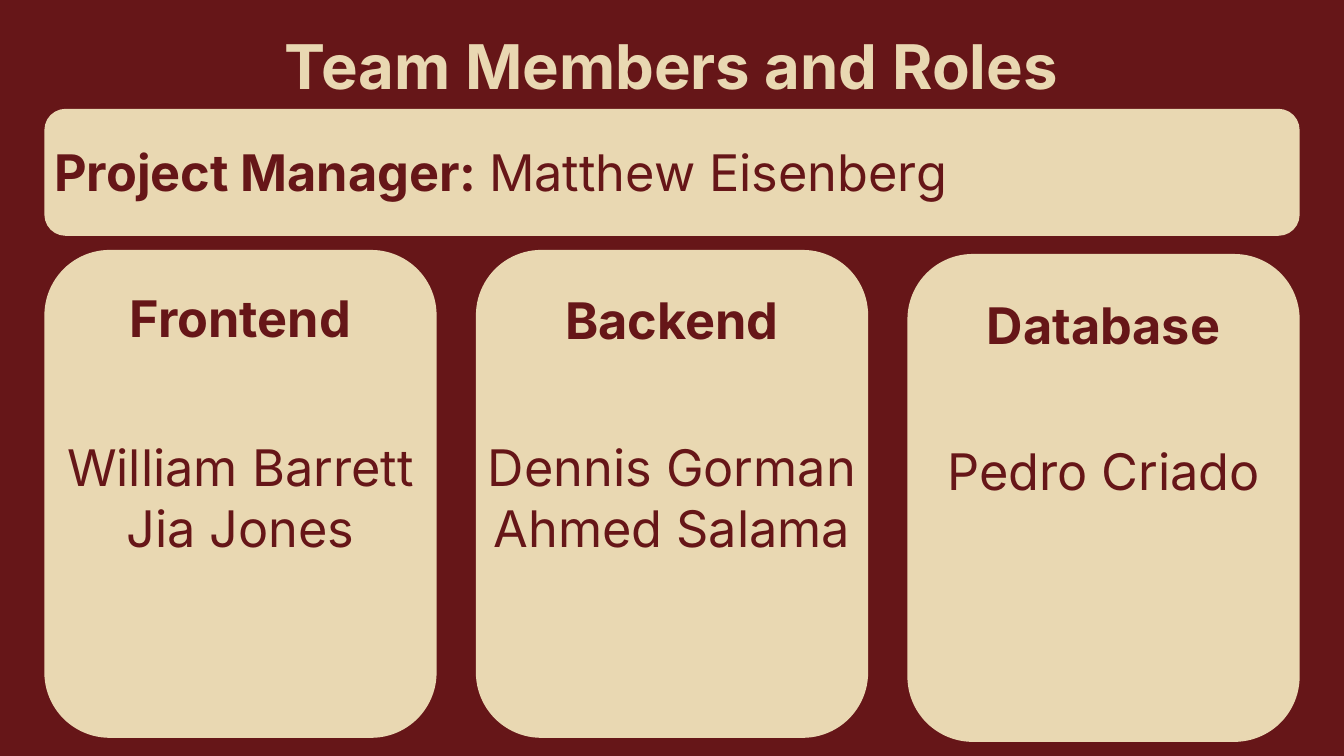
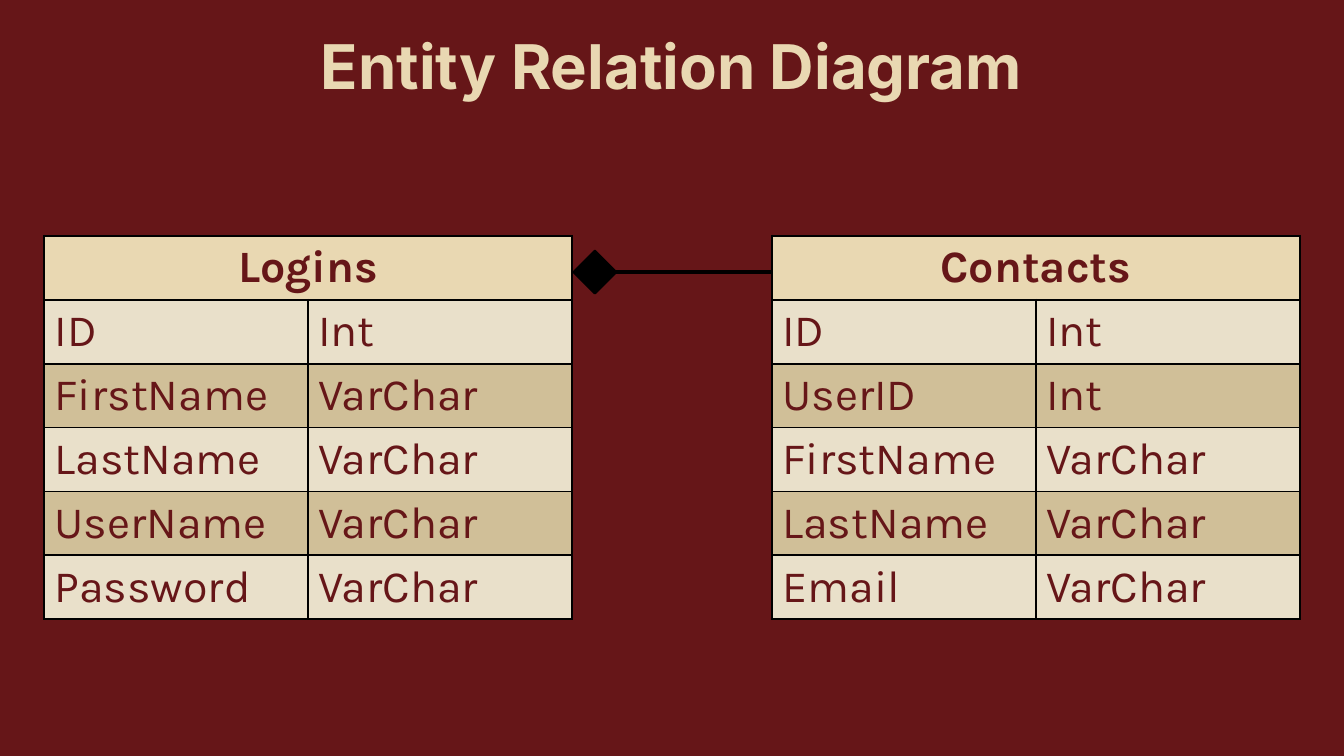
from dataclasses import dataclass

from lxml import etree
from pptx import Presentation
from pptx.dml.color import RGBColor
from pptx.enum.shapes import MSO_CONNECTOR, MSO_SHAPE
from pptx.enum.text import MSO_ANCHOR, PP_ALIGN
from pptx.oxml.ns import qn
from pptx.util import Inches, Pt

ROUNDED = MSO_SHAPE.ROUNDED_RECTANGLE
RECTANGLE = MSO_SHAPE.RECTANGLE
STRAIGHT = MSO_CONNECTOR.STRAIGHT
LEFT, CENTER = PP_ALIGN.LEFT, PP_ALIGN.CENTER
MIDDLE = MSO_ANCHOR.MIDDLE


@dataclass(frozen=True)
class Theme:
    maroon: str = "661618"
    sand: str = "E9D8B2"
    light_row: str = "E9E0CA"
    dark_row: str = "D0BF98"
    black: str = "000000"
    font: str = "Inter"
    table_font: str = "Karla"
    title_size: int = 44
    body_size: int = 36
    table_size: int = 32
    border: float = 1.5
    link: float = 2.5


@dataclass(frozen=True)
class Box:
    left: float
    top: float
    width: float
    height: float

    def inches(self):
        return [Inches(value) for value in (self.left, self.top, self.width, self.height)]

    def band(self, offset, height):
        return Box(self.left, self.top + offset, self.width, height)

    def columns(self, count, gap):
        width = (self.width - gap * (count - 1)) / count
        return [Box(self.left + index * (width + gap), self.top, width, self.height)
                for index in range(count)]


THEME = Theme()
SLIDE_WIDTH, SLIDE_HEIGHT = 13.33, 7.5
MARGIN = 0.44
CONTENT_WIDTH = SLIDE_WIDTH - 2 * MARGIN
LINE_HEIGHT = 0.71
TITLE = Box(0, 0.23, SLIDE_WIDTH, 0.84)
MANAGER = Box(MARGIN, 1.08, CONTENT_WIDTH, 1.26)
CARDS = Box(MARGIN, 2.48, CONTENT_WIDTH, 4.84)
CARD_GAP = 0.39
MEMBERS_OFFSET = 1.8
TABLES = Box(MARGIN, 2.34, CONTENT_WIDTH, 3.8)
TABLE_GAP = 1.99
LINK_OFFSET = 0.36
DIAMOND_SIDE = 0.3
DIAMOND_INSET = 0.23

TEAMS = [
    ("Frontend", ["William Barrett", "Jia Jones"], 0, 0.32),
    ("Backend", ["Dennis Gorman", "Ahmed Salama"], 0, 0.34),
    ("Database", ["Pedro Criado"], 0.04, 0.35),
]
ENTITIES = [
    ("Logins", [("ID", "Int"), ("FirstName", "VarChar"), ("LastName", "VarChar"),
                ("UserName", "VarChar"), ("Password", "VarChar")]),
    ("Contacts", [("ID", "Int"), ("UserID", "Int"), ("FirstName", "VarChar"),
                  ("LastName", "VarChar"), ("Email", "VarChar")]),
]


def color(value):
    return RGBColor.from_string(value)


def add_run(paragraph, text, size, bold=False, ink=THEME.maroon, font=THEME.font):
    run = paragraph.add_run()
    run.text = text
    run.font.name = font
    run.font.size = Pt(size)
    run.font.bold = bold
    run.font.color.rgb = color(ink)


def add_text(shapes, box, lines, size=THEME.body_size, ink=THEME.maroon, alignment=CENTER):
    frame = shapes.add_textbox(*box.inches()).text_frame
    frame.word_wrap = True
    for index, runs in enumerate(lines):
        paragraph = frame.add_paragraph() if index else frame.paragraphs[0]
        paragraph.alignment = alignment
        for text, bold in runs:
            add_run(paragraph, text, size, bold, ink)


def add_panel(shapes, kind, box, fill):
    shape = shapes.add_shape(kind, *box.inches())
    shape.shadow.inherit = False
    shape.fill.solid()
    shape.fill.fore_color.rgb = color(fill)
    shape.line.fill.background()
    return shape


def add_titled_slide(presentation, title):
    slide = presentation.slides.add_slide(presentation.slide_layouts[6])
    slide.background.fill.solid()
    slide.background.fill.fore_color.rgb = color(THEME.maroon)
    add_text(slide.shapes, TITLE, [[(title, True)]], THEME.title_size, THEME.sand)
    return slide


def add_manager(slide, box):
    shapes = slide.shapes.add_group_shape().shapes
    add_panel(shapes, ROUNDED, box, THEME.sand)
    label = box.band((box.height - LINE_HEIGHT) / 2, LINE_HEIGHT)
    add_text(shapes, label, [[("Project Manager: ", True), ("Matthew Eisenberg", False)]],
             alignment=LEFT)


def add_team_card(slide, box, team, members, heading_offset):
    shapes = slide.shapes.add_group_shape().shapes
    add_panel(shapes, ROUNDED, box, THEME.sand)
    add_text(shapes, box.band(MEMBERS_OFFSET, LINE_HEIGHT * len(members)),
             [[(member, False)] for member in members])
    add_text(shapes, box.band(heading_offset, LINE_HEIGHT), [[(team, True)]])


def add_borders(cell):
    properties = cell._tc.get_or_add_tcPr()
    for side in ("a:lnL", "a:lnR", "a:lnT", "a:lnB"):
        line = etree.SubElement(properties, qn(side), w=str(Pt(THEME.border)))
        fill = etree.SubElement(line, qn("a:solidFill"))
        etree.SubElement(fill, qn("a:srgbClr"), val=THEME.black)


def style_cell(cell, fill):
    add_borders(cell)
    cell.fill.solid()
    cell.fill.fore_color.rgb = color(fill)
    cell.vertical_anchor = MIDDLE


def write_cell(cell, text, bold=False, alignment=LEFT):
    paragraph = cell.text_frame.paragraphs[0]
    paragraph.alignment = alignment
    add_run(paragraph, text, THEME.table_size, bold, font=THEME.table_font)


def add_entity(slide, box, name, fields):
    table = slide.shapes.add_table(len(fields) + 1, 2, *box.inches()).table
    header = table.cell(0, 0)
    header.merge(table.cell(0, 1))
    for column in range(2):
        style_cell(table.cell(0, column), THEME.sand)
    write_cell(header, name, True, CENTER)
    for row, field in enumerate(fields, 1):
        fill = THEME.light_row if row % 2 else THEME.dark_row
        for column, text in enumerate(field):
            style_cell(table.cell(row, column), fill)
            write_cell(table.cell(row, column), text)


def add_composition(slide, source, target):
    middle = source.top + LINK_OFFSET
    start = source.left + source.width + DIAMOND_INSET
    half = DIAMOND_SIDE / 2
    diamond = add_panel(slide.shapes, RECTANGLE,
                        Box(start - half, middle - half, DIAMOND_SIDE, DIAMOND_SIDE), THEME.black)
    diamond.rotation = 45
    diamond.line.color.rgb = color(THEME.black)
    diamond.line.width = Pt(THEME.border)
    link = slide.shapes.add_connector(STRAIGHT, Inches(start), Inches(middle),
                                      Inches(target.left), Inches(middle))
    link.line.color.rgb = color(THEME.black)
    link.line.width = Pt(THEME.link)
    etree.SubElement(link._element.spPr, qn("a:effectLst"))


def build_team_slide(presentation):
    slide = add_titled_slide(presentation, "Team Members and Roles")
    add_manager(slide, MANAGER)
    columns = CARDS.columns(len(TEAMS), CARD_GAP)
    for box, (team, members, drop, heading_offset) in zip(columns, TEAMS):
        add_team_card(slide, box.band(drop, box.height), team, members, heading_offset)


def build_entity_slide(presentation):
    slide = add_titled_slide(presentation, "Entity Relation Diagram")
    boxes = TABLES.columns(len(ENTITIES), TABLE_GAP)
    for box, (name, fields) in zip(boxes, ENTITIES):
        add_entity(slide, box, name, fields)
    add_composition(slide, *boxes)


def main():
    presentation = Presentation()
    presentation.slide_width = Inches(SLIDE_WIDTH)
    presentation.slide_height = Inches(SLIDE_HEIGHT)
    build_team_slide(presentation)
    build_entity_slide(presentation)
    presentation.save("out.pptx")


if __name__ == "__main__":
    main()
